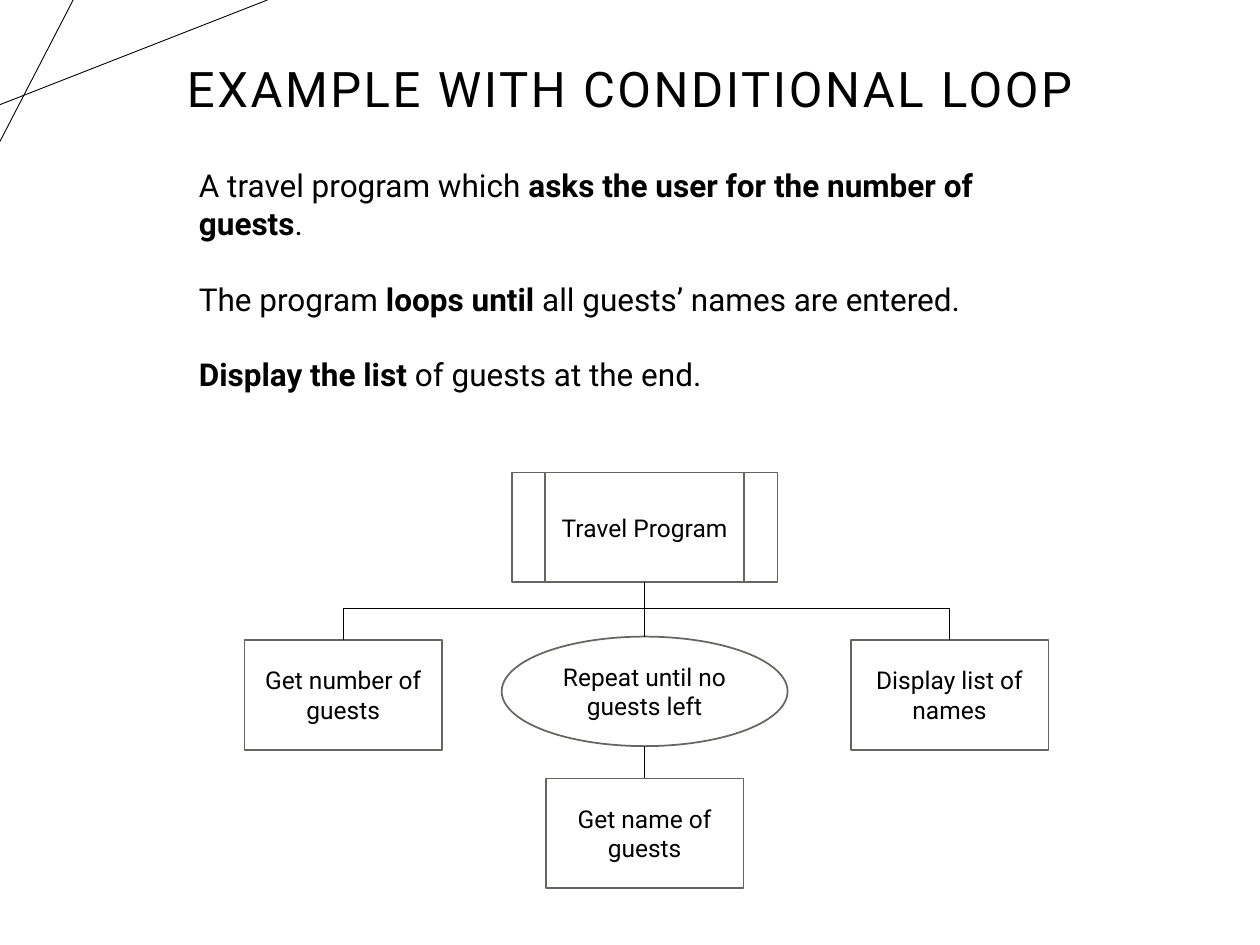
from dataclasses import dataclass

from lxml import etree
from pptx import Presentation
from pptx import util as u
from pptx.dml import color
from pptx.enum import shapes, text
from pptx.oxml import ns

BLACK, WHITE, GREY = "000000", "FFFFFF", "666562"
HIGH = 62.6
BAR = 347.8
LEFT, MID, RIGHT = 196.2, 368.4, 542.6
KIND = shapes.MSO_SHAPE


@dataclass
class Node:
    label: str
    kind: int
    mid: float
    top: float
    wide: float = 113


@dataclass
class Part:
    words: str
    bold: bool = False


def paint(form, shade: str) -> None:
    form.rgb = color.RGBColor.from_string(shade)


def apply(thing, values: dict) -> None:
    for name, value in values.items():
        setattr(thing, name, value)


def write(para, parts: list[Part], size: float, gap: float = 0) -> None:
    for part in parts:
        run = para.add_run()
        run.text = part.words
        apply(run.font, {"name": "Roboto", "size": u.Pt(size), "bold": part.bold})
        paint(run.font.color, BLACK)
        if gap:
            run._r.get_or_add_rPr().set("spc", str(round(gap * 100)))


def add_box(slide, left: float, top: float, wide: float, high: float):
    box = slide.shapes.add_textbox(*map(u.Pt, (left, top, wide, high)))
    box.text_frame.word_wrap = True
    return box.text_frame


def add_node(slide, node: Node):
    place = (node.mid - node.wide / 2, node.top, node.wide, HIGH)
    shape = slide.shapes.add_shape(node.kind, *map(u.Pt, place))
    shape.shadow.inherit = False
    shape.fill.solid()
    paint(shape.fill.fore_color, WHITE)
    paint(shape.line.color, GREY)
    shape.line.width = u.Pt(1)
    apply(shape.text_frame, {"word_wrap": True,
                             "vertical_anchor": text.MSO_ANCHOR.MIDDLE})
    para = shape.text_frame.paragraphs[0]
    para.alignment = text.PP_ALIGN.CENTER
    write(para, [Part(node.label)], 14)
    return shape


def add_line(slide, x1: float, y1: float, x2: float, y2: float):
    line = slide.shapes.add_connector(
        shapes.MSO_CONNECTOR.STRAIGHT, *map(u.Pt, (x1, y1, x2, y2)))
    paint(line.line.color, BLACK)
    line.line.width = u.Pt(0.5)
    etree.SubElement(line._element.spPr, ns.qn("a:effectLst"))
    return line


def main() -> None:
    deck = Presentation()
    apply(deck, {"slide_width": u.Pt(720), "slide_height": u.Pt(540)})
    slide = deck.slides.add_slide(deck.slide_layouts[6])

    add_line(slide, 0, 59.8, 152.8, 0)
    add_line(slide, 41.8, 0, 0, 80.8)

    title = add_box(slide, 49.7, 0, 620.6, 104.4)
    title.vertical_anchor = text.MSO_ANCHOR.MIDDLE
    head = title.paragraphs[0]
    apply(head, {"alignment": text.PP_ALIGN.CENTER, "line_spacing": 0.9})
    write(head, [Part("EXAMPLE WITH CONDITIONAL LOOP")], 28, 1.5)

    steps = [
        [Part("A travel program which "),
         Part("asks the user for the number of guests", True), Part(".")],
        [Part("The program "), Part("loops until ", True),
         Part("all guests’ names are entered.")],
        [Part("Display the list ", True), Part("of guests at the end.")],
    ]
    body = add_box(slide, 106.6, 91.4, 506.2, 116.6)
    for rank, parts in enumerate(steps):
        para = body.add_paragraph() if rank else body.paragraphs[0]
        para.space_before = u.Pt(21.6 if rank else 0)
        write(para, parts, 18)

    nodes = [
        Node("Travel Program", KIND.FLOWCHART_PREDEFINED_PROCESS, MID, 270, 152),
        Node("Get number of guests", KIND.FLOWCHART_PROCESS, LEFT, 365.8),
        Node("Repeat until no guests left", KIND.FLOWCHART_CONNECTOR,
             MID, 363.8, 163.4),
        Node("Display list of names", KIND.FLOWCHART_PROCESS, RIGHT, 365.8),
        Node("Get name of guests", KIND.FLOWCHART_PROCESS, MID, 444.8),
    ]
    root, first, loop, last, name = [add_node(slide, node) for node in nodes]
    base = nodes[2].top + HIGH

    add_line(slide, LEFT, BAR, RIGHT, BAR)
    add_line(slide, MID, BAR, MID, nodes[2].top)
    for shape, node, start, side in (
        (root, nodes[0], BAR, 2),
        (first, nodes[1], BAR, 0),
        (last, nodes[3], BAR, 0),
        (name, nodes[4], base, 0),
    ):
        add_line(slide, node.mid, start, node.mid, node.top).end_connect(shape, side)

    deck.save("out.pptx")


if __name__ == "__main__":
    main()
